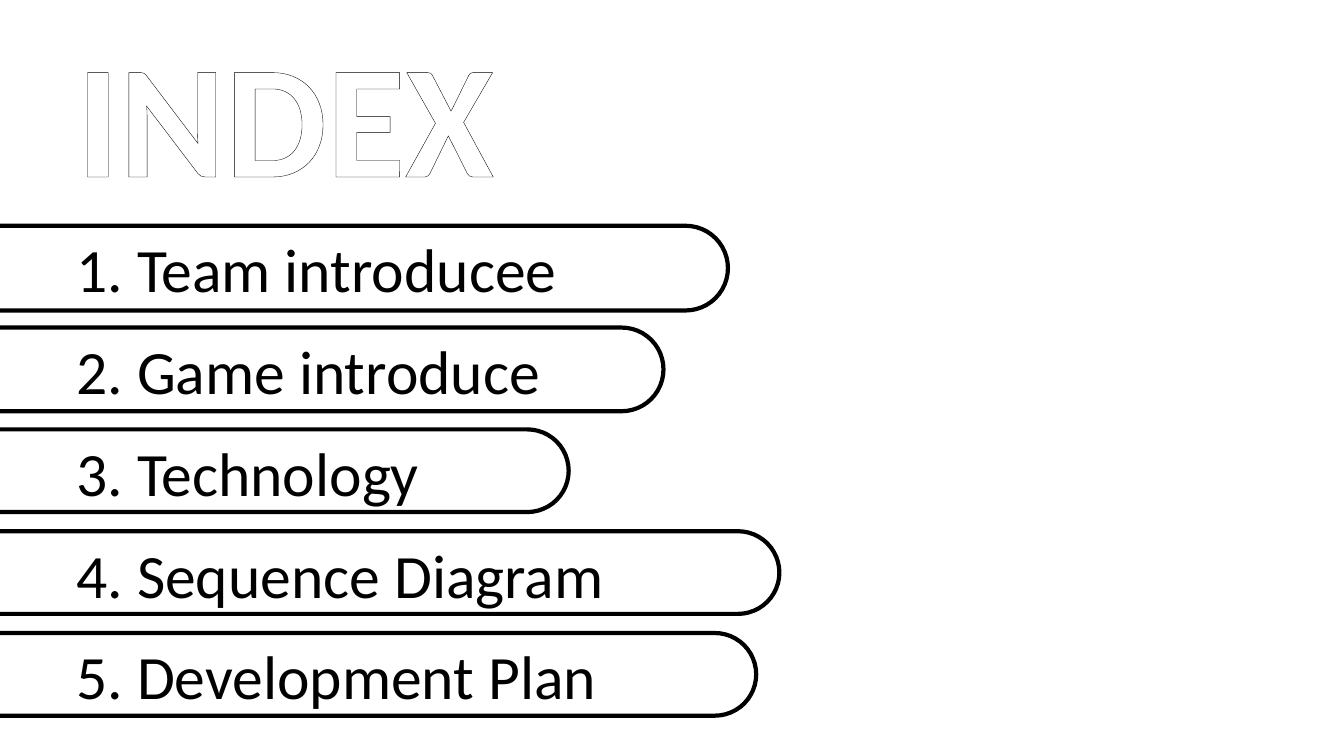
from lxml import etree
from pptx import Presentation
from pptx.dml.color import RGBColor
from pptx.enum.shapes import MSO_SHAPE
from pptx.enum.text import MSO_ANCHOR, MSO_AUTO_SIZE, PP_ALIGN
from pptx.oxml import parse_xml
from pptx.oxml.ns import nsdecls
from pptx.util import Inches, Pt

BLACK = RGBColor(0, 0, 0)
WHITE = RGBColor(255, 255, 255)
FONT = "Calibri"

TEXT_LEFT = 0.66
BAR_LEFT = -0.81
FIRST_TOP = 2.24
PITCH = 1.01
LABEL_HEIGHT = 0.84

# (label, label width, bar width, bar height)
ENTRIES = [
    ("1. Team introducee", 5.92, 8.03, 0.84),
    ("2. Game introduce", 5.78, 7.39, 0.83),
    ("3. Technology", 4.75, 6.45, 0.82),
    ("4. Sequence Diagram", 7.47, 8.54, 0.82),
    ("5. Development Plan", 6.78, 8.31, 0.82),
]


def add_text(shapes, text, box, color, font, frame):
    """Add a one-line text box and return its paragraph and run."""
    tf = shapes.add_textbox(*map(Inches, box)).text_frame
    for name, value in {"word_wrap": True,
                        "auto_size": MSO_AUTO_SIZE.SHAPE_TO_FIT_TEXT,
                        **frame}.items():
        setattr(tf, name, value)
    p = tf.paragraphs[0]
    r = p.add_run()
    r.text = text
    for name, value in {"name": FONT, **font}.items():
        setattr(r.font, name, value)
    r.font.color.rgb = color
    return p, r


def outline_text(r, color, width):
    """Draw a line around the letters of a run."""
    ln = parse_xml(f'<a:ln {nsdecls("a")} w="{int(width)}"/>')
    fill = etree.SubElement(ln, ln.tag.replace("}ln", "}solidFill"))
    etree.SubElement(fill, ln.tag.replace("}ln", "}srgbClr"), val=str(color))
    r._r.get_or_add_rPr().insert(0, ln)


def add_title(s, box):
    """Add the outlined heading."""
    p, r = add_text(s.shapes, "INDEX", box, WHITE,
                    {"size": Pt(115), "bold": True}, {})
    p.alignment = PP_ALIGN.JUSTIFY
    outline_text(r, BLACK, Pt(4.5))


def add_entry(s, top, label, label_width, bar_width, bar_height):
    """Add one index entry: a rounded bar with its label, grouped."""
    shapes = s.shapes.add_group_shape().shapes
    sp = shapes.add_shape(MSO_SHAPE.ROUNDED_RECTANGLE, Inches(BAR_LEFT),
                          Inches(top), Inches(bar_width), Inches(bar_height))
    sp.adjustments[0] = 0.5
    sp.shadow.inherit = False
    sp.fill.solid()
    sp.fill.fore_color.rgb = WHITE
    sp.line.color.rgb = BLACK
    sp.line.width = Pt(3)
    add_text(shapes, label, (TEXT_LEFT, top, label_width, LABEL_HEIGHT), BLACK,
             {"size": Pt(44)}, {"vertical_anchor": MSO_ANCHOR.MIDDLE})


def build_index(prs):
    """Build the index slide."""
    s = prs.slides.add_slide(prs.slide_layouts[6])
    add_title(s, (TEXT_LEFT, 0.11, 6.56, 2.04))
    for i, entry in enumerate(ENTRIES):
        add_entry(s, FIRST_TOP + i * PITCH, *entry)


prs = Presentation()
prs.slide_width, prs.slide_height = Inches(13.33), Inches(7.5)
build_index(prs)
prs.save("out.pptx")
